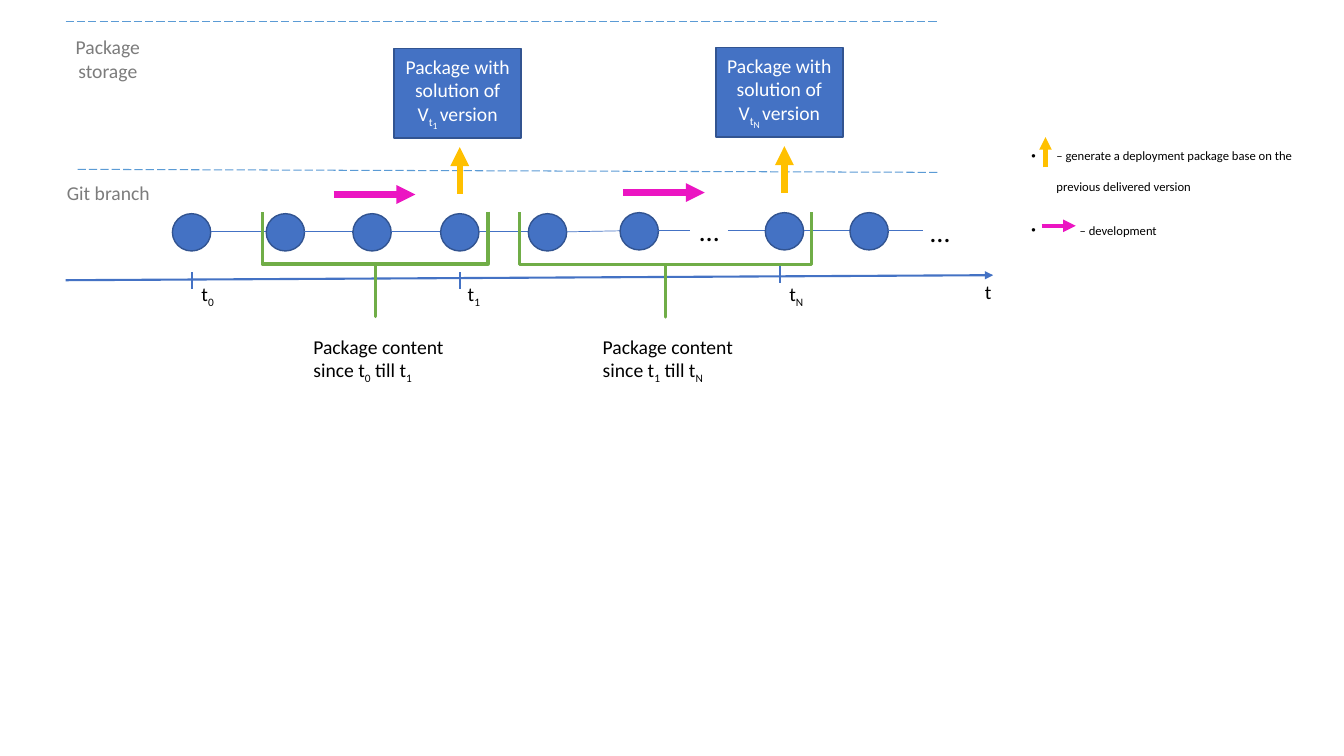
from lxml import etree
from pptx import Presentation
from pptx.dml.color import RGBColor
from pptx.enum.dml import MSO_LINE
from pptx.enum.shapes import MSO_CONNECTOR, MSO_SHAPE
from pptx.enum.text import MSO_ANCHOR, PP_ALIGN
from pptx.oxml.ns import qn
from pptx.util import Inches, Pt

BLUE = RGBColor(0x44, 0x72, 0xC4)
DARK_BLUE = RGBColor(0x32, 0x54, 0x91)
LIGHT_BLUE = RGBColor(0x5B, 0x9B, 0xD5)
GOLD = RGBColor(0xFF, 0xC0, 0x00)
PINK = RGBColor(0xEB, 0x15, 0xC2)
GREEN = RGBColor(0x70, 0xAD, 0x47)
GRAY = RGBColor(0x7C, 0x7C, 0x7C)
BLACK = RGBColor(0, 0, 0)
WHITE = RGBColor(255, 255, 255)
STRAIGHT = MSO_CONNECTOR.STRAIGHT
LONG_DASH = MSO_LINE.LONG_DASH
CIRCLE = MSO_SHAPE.FLOWCHART_CONNECTOR
RECTANGLE = MSO_SHAPE.RECTANGLE
BRACE = MSO_SHAPE.RIGHT_BRACE
LEFT, CENTER = PP_ALIGN.LEFT, PP_ALIGN.CENTER
MIDDLE = MSO_ANCHOR.MIDDLE

prs = Presentation()
prs.slide_width, prs.slide_height = Inches(13.33), Inches(7.5)
s = prs.slides.add_slide(prs.slide_layouts[6])


def add_line(x1, y1, x2, y2, color, width, arrow=False):
    line = s.shapes.add_connector(STRAIGHT, Inches(x1), Inches(y1), Inches(x2), Inches(y2))
    line.line.color.rgb = color
    line.line.width = Pt(width)
    if arrow:
        etree.SubElement(line.line._get_or_add_ln(), qn("a:tailEnd"), type="triangle")
    etree.SubElement(line._element.spPr, qn("a:effectLst"))
    return line


def add_runs(p, runs, color=BLACK, size=14, align=LEFT):
    """Append (text, baseline percent[, size]) runs to a paragraph."""
    p.alignment = align
    for text, baseline, *own_size in runs:
        r = p.add_run()
        r.text = text
        r.font.name = "Calibri"
        r.font.size = Pt(own_size[0] if own_size else size)
        r.font.color.rgb = color
        if baseline:
            r._r.get_or_add_rPr().set("baseline", str(baseline * 1000))


# Time axis and storage boundaries
add_line(0.65, 2.78, 9.85, 2.73, BLUE, 1.5, arrow=True)
for x, top in [(1.9, 2.7), (4.56, 2.7), (7.74, 2.64)]:
    add_line(x, top, x, top + 0.17, BLUE, 1.5)
for x, y1, y2 in [(0.77, 1.68, 1.71), (0.65, 0.21, 0.21)]:
    add_line(x, y1, 9.3, y2, LIGHT_BLUE, 0.75).line.dash_style = LONG_DASH

# Commits on the branch, joined within each visible stretch
COMMIT_W, COMMIT_H = 0.38, 0.37
stretches = [([1.71, 2.64, 3.5, 4.37, 5.24, 6.15], None, 6.84),
             ([7.59, 8.43], 7.22, 9.15)]
for commits, start, end in stretches:
    if start:
        add_line(start, 2.29, commits[0], 2.29, BLUE, 0.5)
    for x, next_x in zip(commits, commits[1:] + [end]):
        top = 2.12 if x < 6 else 2.11
        sp = s.shapes.add_shape(CIRCLE, Inches(x), Inches(top), Inches(COMMIT_W), Inches(COMMIT_H))
        sp.shadow.inherit = False
        sp.fill.solid()
        sp.fill.fore_color.rgb = BLUE
        sp.line.color.rgb = DARK_BLUE
        sp.line.width = Pt(1)
        add_line(x + COMMIT_W, top + 0.18, next_x, 2.3 if next_x < 6 else 2.29, BLUE, 0.5)

# Delivered packages
for x, y, version in [(3.91, 0.48, "1"), (7.1, 0.47, "N")]:
    sp = s.shapes.add_shape(RECTANGLE, Inches(x), Inches(y), Inches(1.26), Inches(0.89))
    sp.shadow.inherit = False
    sp.fill.solid()
    sp.fill.fore_color.rgb = BLUE
    sp.line.color.rgb = DARK_BLUE
    sp.line.width = Pt(1)
    tf = sp.text_frame
    tf.word_wrap = True
    tf.vertical_anchor = MIDDLE
    add_runs(tf.paragraphs[0], [("Package with solution of V", 0), ("t", -25),
                                (version + " ", -50, 12), ("version", 0)],
             WHITE, align=CENTER)

# Deployment and development arrows, on the diagram and in the legend
for x, bottom, length, width in [(4.56, 1.92, 0.46, 4.5), (7.78, 1.91, 0.46, 4.5),
                                 (10.37, 1.66, 0.3, 3)]:
    add_line(x, bottom, x, bottom - length, GOLD, width, arrow=True)
for x, y, length, width in [(3.31, 1.93, 0.81, 4.5), (6.18, 1.91, 0.81, 4.5),
                            (10.33, 2.24, 0.34, 3)]:
    add_line(x, y, x + length, y, PINK, width, arrow=True)

# Braces around the commits of each package
for x, y, w, h in [(3.2, 1.5, 1.04, 2.24), (6.08, 1.18, 1.04, 2.89)]:
    sp = s.shapes.add_shape(BRACE, Inches(x), Inches(y), Inches(w), Inches(h))
    sp.shadow.inherit = False
    sp.rotation = 90
    sp.adjustments[0], sp.adjustments[1] = 0, 0.5
    sp.fill.background()
    sp.line.color.rgb = GREEN
    sp.line.width = Pt(2.25)

# Labels: left, top, width, height, paragraphs, colour, size, alignment
labels = [
    (9.67, 2.73, 0.38, 0.34, [[("t", 0)]], BLACK, 14, LEFT),
    (6.84, 2.07, 0.38, 0.44, [[("…", 0)]], BLACK, 20, LEFT),
    (9.13, 2.08, 0.38, 0.44, [[("…", 0)]], BLACK, 20, LEFT),
    (0.62, 0.3, 0.9, 0.57, [[("Package", 0)], [("storage", 0)]], GRAY, 14, CENTER),
    (0.55, 1.75, 1.05, 0.34, [[("Git branch", 0)]], GRAY, 14, CENTER),
]
for x, index in [(1.9, "0"), (4.54, "1"), (7.73, "N")]:
    labels.append((x, 2.75, 0.38, 0.34, [[("t", 0), (index, -25)]], BLACK, 14, LEFT))
for x, since, till in [(3.01, "0", "1"), (5.88, "1", "N")]:
    content = [("Package content since t", 0), (since, -25), (" till t", 0), (till, -25)]
    labels.append((x, 3.27, 1.7, 0.81, [content], BLACK, 14, LEFT))
for x, y, w, h, paragraphs, color, size, align in labels:
    tf = s.shapes.add_textbox(Inches(x), Inches(y), Inches(w), Inches(h)).text_frame
    tf.word_wrap = True
    for i, runs in enumerate(paragraphs):
        p = tf.add_paragraph() if i else tf.paragraphs[0]
        add_runs(p, runs, color, size, align)

# Legend
tf = s.shapes.add_textbox(Inches(10.13), Inches(1.27), Inches(2.89), Inches(5.31)).text_frame
tf.word_wrap = True
legend = [("– generate a deployment package base on the previous delivered version", 0.25),
          ("– development", 0.48)]
for i, (text, indent) in enumerate(legend):
    p = tf.add_paragraph() if i else tf.paragraphs[0]
    p.line_spacing = 2.0
    if i:
        p.space_before = Pt(10)
    pPr = p._p.get_or_add_pPr()
    pPr.set("marL", str(Inches(indent)))
    pPr.set("indent", str(-Inches(indent)))
    etree.SubElement(pPr, qn("a:buFont"), typeface="Arial")
    etree.SubElement(pPr, qn("a:buChar"), char="•")
    add_runs(p, [(text, 0)], size=9)

prs.save("out.pptx")
